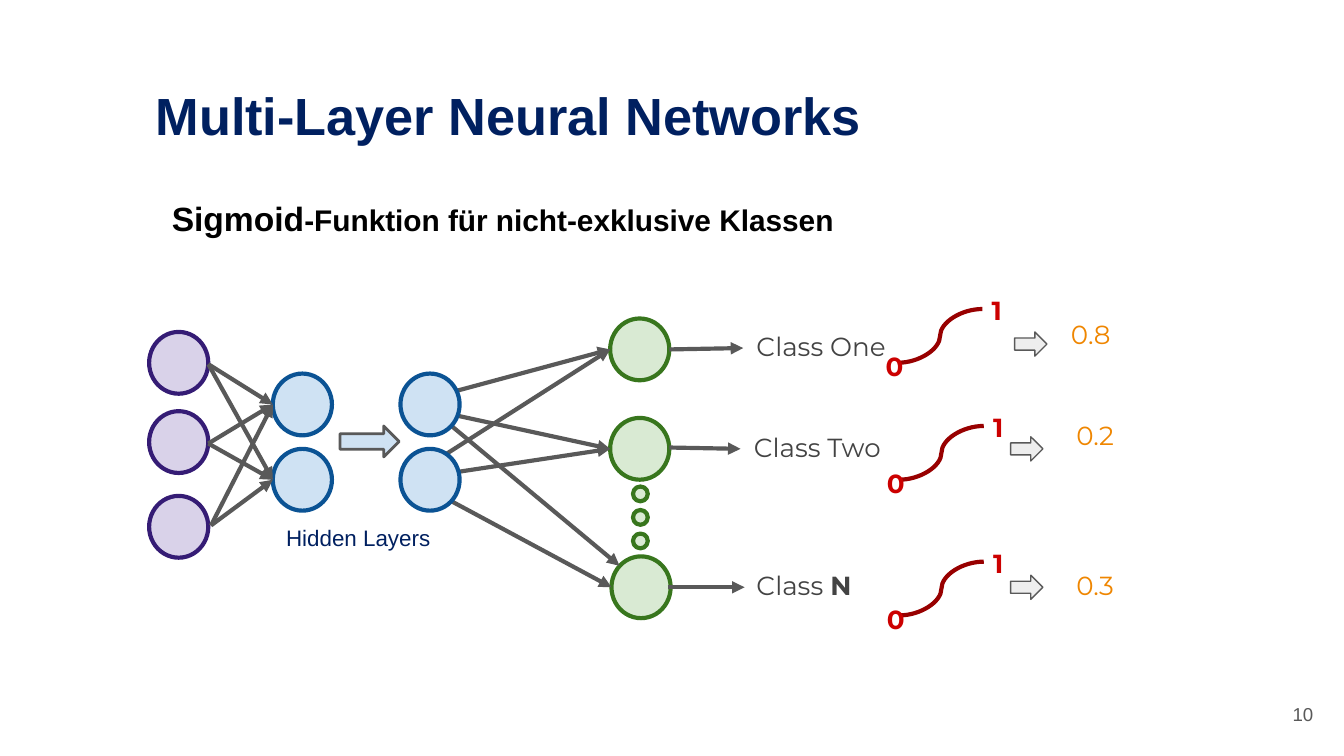
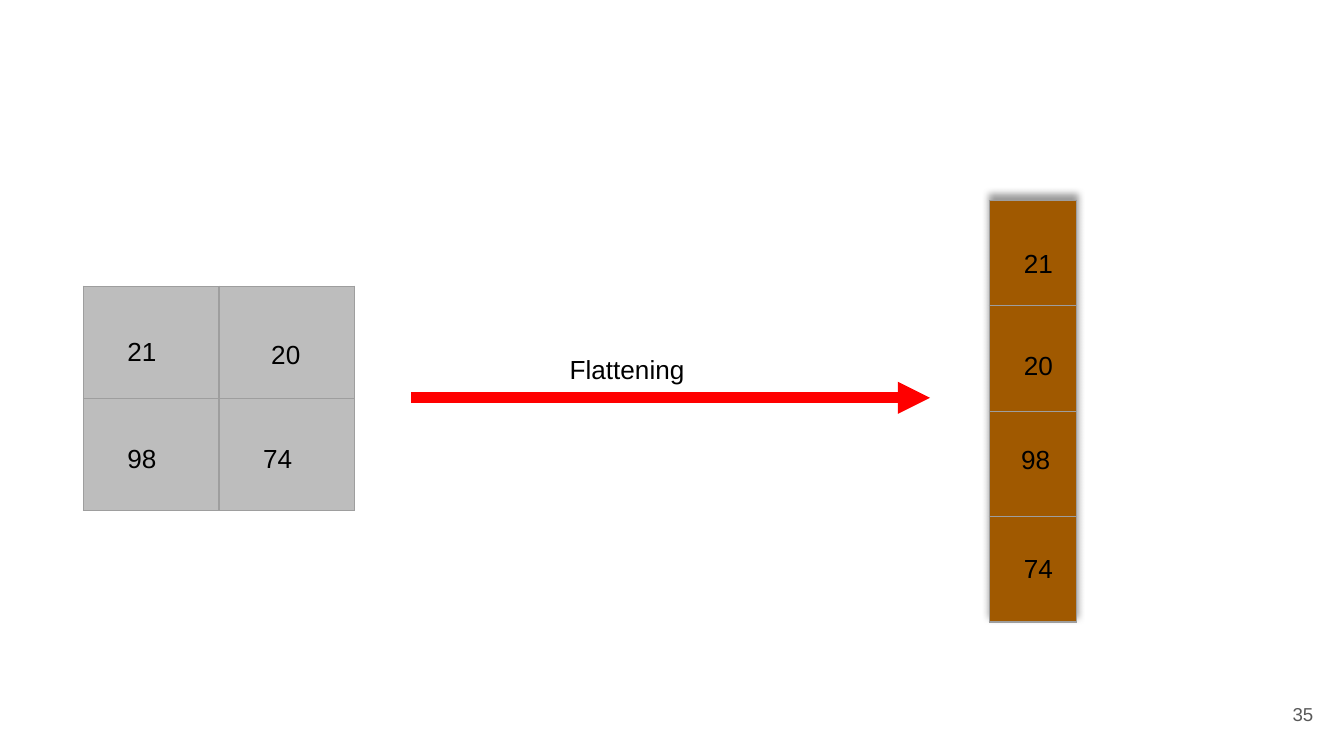
from lxml import etree
from pptx import Presentation
from pptx.dml.color import RGBColor
from pptx.enum.shapes import MSO_CONNECTOR as Link, MSO_SHAPE as Kind
from pptx.enum.text import MSO_ANCHOR as Anchor, PP_ALIGN as Align
from pptx.oxml import parse_xml
from pptx.oxml.ns import nsdecls, qn
from pptx.util import Inches, Pt

rgb = RGBColor.from_string
NAVY, GRAY, BLACK = "002060", "595959", "000000"
GREEN = ("D9EAD3", "38761D", 2.25)
BLUE = ("CFE2F3", "0B5394", 2.25)
PURPLE = ("D9D2E9", "351C75", 2.25)
SANS, ROUND = "Arial", "Montserrat"


def text(slide, box, words, size=14, font=SANS, color=BLACK, bold=False,
         inset=0.1, align=Align.LEFT, anchor=Anchor.TOP, tail=None):
    """Add a text box; tail is an optional second run (words, size, bold)."""
    frame = slide.shapes.add_textbox(*map(Inches, box)).text_frame
    frame.word_wrap = True
    frame.vertical_anchor = anchor
    frame.margin_left = frame.margin_right = Inches(0.1)
    frame.margin_top = frame.margin_bottom = Inches(inset)
    par = frame.paragraphs[0]
    par.alignment = align
    for part, pts, heavy in [(words, size, bold)] + ([tail] if tail else []):
        run = par.add_run()
        run.text = part
        run.font.name, run.font.size, run.font.bold = font, Pt(pts), heavy
        run.font.color.rgb = rgb(color)


def line(slide, start, end, color=GRAY, width=2.25, kind=Link.STRAIGHT, head=True):
    wire = slide.shapes.add_connector(kind, *map(Inches, (*start, *end)))
    wire.line.color.rgb = rgb(color)
    wire.line.width = Pt(width)
    if head:
        etree.SubElement(wire.line._ln, qn("a:tailEnd"), type="triangle")
    etree.SubElement(wire._element.spPr, qn("a:effectLst"))


deck = Presentation()
deck.slide_width = Inches(10)
deck.slide_height = deck.slide_width * 9 // 16
net, flat = [deck.slides.add_slide(deck.slide_layouts[6]) for _ in range(2)]
for slide, page in ((net, "10"), (flat, "35")):
    text(slide, (9.27, 5.1, 0.6, 0.43), page, size=10, color=GRAY,
         align=Align.RIGHT, anchor=Anchor.MIDDLE)

# Slide 1: network with sigmoid outputs
text(net, (1.06, 0.52, 7.41, 0.63), "Multi-Layer Neural Networks", size=28,
     color=NAVY, bold=True)
text(net, (1.18, 1.42, 5.78, 0.4), "Sigmoid", size=18, bold=True, inset=0.05,
     tail=("-Funktion für nicht-exklusive Klassen", 16, True))

node = (0.44, 0.46)
hidden = (2.78, 3.34)
outs = [(Kind.OVAL, (x, y, *node), GREEN)
        for x, y in ((4.54, 2.37), (4.54, 3.11), (4.55, 4.14))]
dots = [(Kind.OVAL, (4.71, 3.62 + 0.175 * i, 0.11, 0.11), GREEN) for i in range(3)]
ins = [(Kind.OVAL, (1.11, y, *node), PURPLE) for y in (2.47, 3.06, 3.69)]
mids = [(Kind.OVAL, (x, y, *node), BLUE) for x in (2.98, 2.03) for y in hidden]
blocks = [(Kind.RIGHT_ARROW, (2.53, 3.17, 0.44, 0.23), ("CFE2F3", GRAY, 1.5))]
blocks += [(Kind.RIGHT_ARROW, (x, y, 0.24, 0.18), ("EEEEEE", GRAY, 0.75))
           for x, y in ((7.55, 2.47), (7.52, 3.25), (7.52, 4.28))]

right = [((3.02, y), (4.54, end)) for y in (3.01, 3.57) for end in (2.6, 3.34)]
right += [((3.36, 3.17), (4.61, 4.21)), ((3.36, 3.73), (4.55, 4.37)),
          ((4.98, 2.6), (5.53, 2.59)), ((4.98, 3.33), (5.51, 3.34)),
          ((4.97, 4.37), (5.54, 4.37))]
left = [(start, (2.03, y)) for start in ((1.55, 2.71), (1.55, 3.3), (1.57, 3.91))
        for y in (3.01, 3.57)]

for shapes, links in ((outs + dots, right), (mids + ins + blocks, left)):
    for kind, box, (fill, edge, width) in shapes:
        shape = net.shapes.add_shape(kind, *map(Inches, box))
        shape.shadow.inherit = False
        shape.fill.solid()
        shape.fill.fore_color.rgb = rgb(fill)
        shape.line.color.rgb = rgb(edge)
        shape.line.width = Pt(width)
    for start, end in links:
        line(net, start, end)
text(net, (2.03, 3.8, 1.59, 0.46), "Hidden Layers", size=12, color=NAVY)

rows = (
    ("Class One", None, (5.53, 2.36), (6.68, 2.7), "0.8", (7.87, 2.27)),
    ("Class Two", None, (5.51, 3.11), (6.69, 3.57), "0.2", (7.91, 3.02)),
    ("Class ", ("N", 14, True), (5.53, 4.14), (6.69, 4.58), "0.3", (7.91, 4.14)),
)
for name, tail, place, (x, y), score, spot in rows:
    text(net, (*place, 1.59, 0.46), name, font=ROUND, color="434343", tail=tail)
    line(net, (x, y), (x + 0.63, y - 0.4), color="980000", kind=Link.CURVE, head=False)
    for mark, dx, dy in (("0", -0.19, -0.19), ("1", 0.6, -0.61)):
        text(net, (x + dx, y + dy, 0.22, 0.31), mark, font=ROUND, color="CC0000", bold=True)
    text(net, (*spot, 0.72, 0.51), score, font=ROUND, color="EF8600")

# Slide 2: flattening a matrix to a column
grids = ((2, 2, (0.62, 2.13, 2.02, 1.67), "BDBDBD"),
         (4, 1, (7.36, 1.49, 0.65, 3.14), "A05900"))
for count, cols, box, fill in grids:
    table = flat.shapes.add_table(count, cols, *map(Inches, box)).table
    table.first_row = table.horz_banding = False
    for cell in table.iter_cells():
        cell.fill.solid()
        cell.fill.fore_color.rgb = rgb(fill)
        for i, side in enumerate("LRTB"):
            cell._tc.tcPr.insert(i, parse_xml(
                f'<a:ln{side} {nsdecls("a")} w="{Pt(0.75)}"><a:solidFill>'
                f'<a:srgbClr val="9E9E9E"/></a:solidFill></a:ln{side}>'))
# The column casts a soft shadow upwards
table._tbl.tblPr.insert(0, parse_xml(
    f'<a:effectLst {nsdecls("a")}><a:outerShdw blurRad="50800" dist="38100" '
    'dir="16200000" rotWithShape="0"><a:srgbClr val="000000">'
    '<a:alpha val="40000"/></a:srgbClr></a:outerShdw></a:effectLst>'))

values = (
    ("21", 0.85, 2.45), ("20", 1.92, 2.47), ("98", 0.85, 3.24), ("74", 1.86, 3.24),
    ("21", 7.52, 1.79), ("20", 7.52, 2.55), ("98", 7.5, 3.25), ("74", 7.52, 4.06),
)
for value, x, y in values:
    text(flat, (x, y, 0.43, 0.34), value, inset=0.05)
line(flat, (3.06, 2.96), (6.92, 2.96), color="FF0000", width=5.75)
text(flat, (4.14, 2.58, 1.26, 0.34), "Flattening", inset=0.05)

deck.save("out.pptx")
